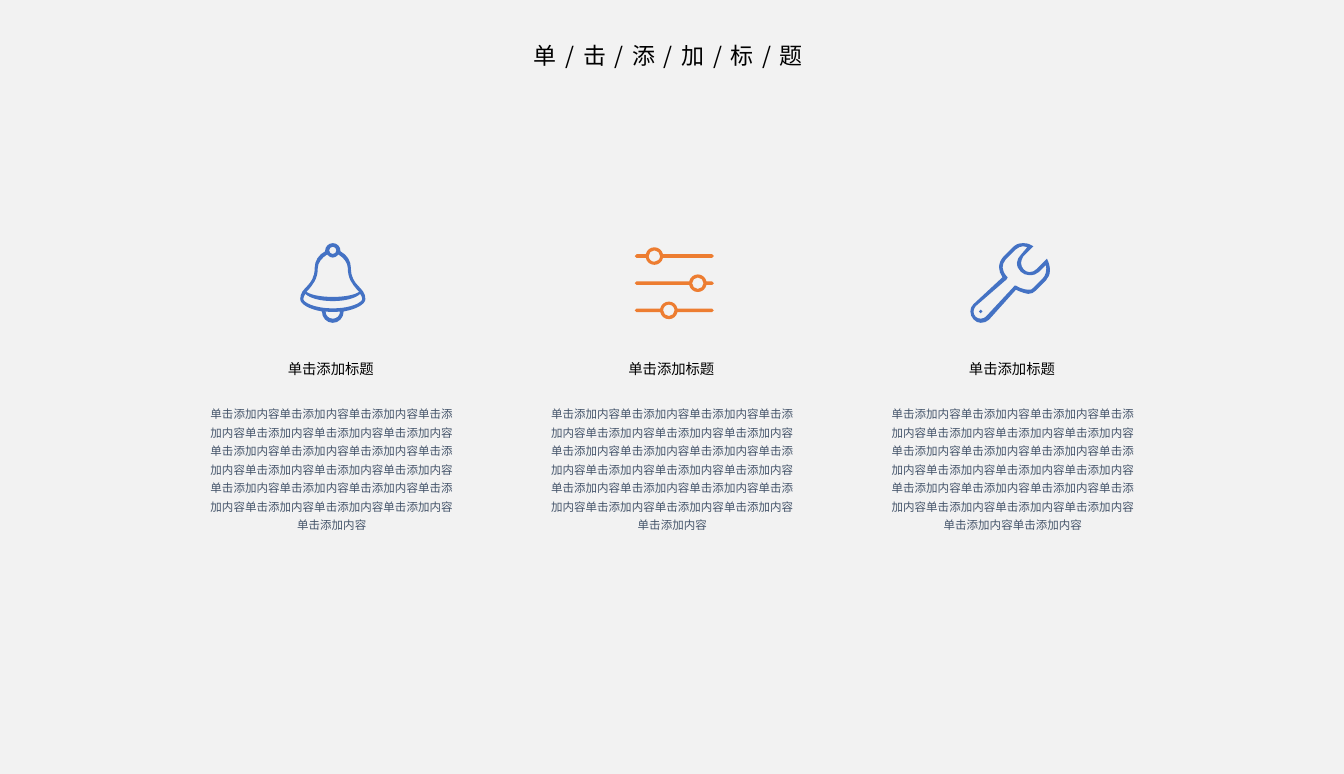
from math import asin, cos, degrees, radians, sin, tan

from lxml.etree import Element, SubElement
from pptx import Presentation
from pptx.dml.color import RGBColor
from pptx.enum.text import MSO_ANCHOR, MSO_AUTO_SIZE, PP_ALIGN
from pptx.oxml.ns import qn
from pptx.util import Cm, Pt

FONT = "Noto Sans CJK SC"
COLORS = {
    "background": "F2F2F2",
    "heading": "000000",
    "body": "44546A",
    "blue": "4472C4",
    "orange": "ED7D31",
}
GRID = Cm(0.0254)  # one unit of the icon drawings
COLUMN_LEFT, COLUMN_STEP, COLUMN_WIDTH = 4.83, 8.36, 6.63
AXIS = 31.5  # the bell is symmetrical about this line

# Contours: a pair is a line to a point, six numbers are a curve.
# The halves of the bell run from the bottom to the top of its axis.
BELL_HALVES = [
    # Outer edge
    [(AXIS, 77), (25.5, 77, 21, 72, 21, 66), (9, 64, 0, 59, 0, 54),
     (0, 42, 14, 42, 14, 24), (14, 17, 18, 11, 24, 8), (24, 3, 27.5, 0, AXIS, 0)],
    # Body
    [(AXIS, 52), (20, 52, 10, 50, 6, 47), (7, 46, 8, 45, 8, 45),
     (12, 40, 17, 35, 17, 24), (17, 19, 21, 14, 26, 11), (28, 13, 29.5, 14, AXIS, 14)],
    # Rim
    [(AXIS, 63), (13, 63, 3, 57, 3, 54), (3, 52, 4, 51, 5, 49), (9, 53, 19, 56, AXIS, 56)],
    # Clapper
    [(AXIS, 73), (27.5, 73, 24.5, 70, 24.5, 66), (27, 66.5, 29, 66.5, AXIS, 66.5)],
]
WRENCH = [
    # Outer edge
    [(74, 15), (64, 25), (62, 27, 60, 28, 57, 28), (53, 28, 49, 24, 49, 19),
     (49, 17, 50, 15, 51, 13), (61, 3), (58, 1, 55, 0, 51, 0), (47, 0, 44, 1, 41, 4),
     (32, 13), (26, 20, 27, 27, 31, 33), (3, 59), (1, 61, 0, 63, 0, 66),
     (0, 72, 5, 77, 10, 77), (13, 77, 16, 76, 18, 74), (44, 45),
     (50, 48, 55, 49, 56, 49), (59, 49, 61, 48, 63, 46), (73, 36),
     (78, 31, 78, 23, 74, 15)],
    # Inner edge
    [(49, 11), (47, 13, 45, 16, 45, 19), (45, 26, 51, 31, 57, 31),
     (61, 31, 64, 30, 66, 28), (73, 21), (74, 26, 73, 31, 70, 34), (61, 43),
     (60, 45, 58, 45, 56, 45), (56, 45, 50, 45, 44, 41), (43, 41, 42, 41, 42, 42),
     (15, 71), (14, 72, 12, 73, 10, 73), (6, 73, 3, 70, 3, 66), (3, 64, 4, 63, 5, 61),
     (35, 35), (35, 34, 36, 34, 36, 33), (36, 33, 35, 32, 35, 32),
     (30, 26, 30, 21, 34, 16), (44, 6), (46, 4, 49, 3, 51, 3), (53, 3, 54, 4, 55, 4)],
]


# Geometry of the icons
def arc(x, y, radius, start=0, end=360, pieces=4):
    turn = radians(end - start) / pieces
    handle = 4 / 3 * tan(turn / 4)
    contour = [(x + radius * cos(radians(start)), y + radius * sin(radians(start)))]
    for piece in range(pieces):
        a = radians(start) + piece * turn
        b = a + turn
        contour.append((x + radius * (cos(a) - handle * sin(a)),
                        y + radius * (sin(a) + handle * cos(a)),
                        x + radius * (cos(b) + handle * sin(b)),
                        y + radius * (sin(b) - handle * cos(b)),
                        x + radius * cos(b), y + radius * sin(b)))
    return contour


def mirror(half):
    numbers = [number for segment in half for number in segment]
    points = list(zip(numbers[::2], numbers[1::2]))
    back = [(2 * AXIS - x, y) for x, y in reversed(points)][1:]
    return half + [sum(back[i:i + 3], ()) for i in range(0, len(back), 3)]


def bell_contours():
    return [mirror(half) for half in BELL_HALVES] + [arc(AXIS, 7, 3.5)]


def slider_contours():
    cap, knob, hole, length = 1.75, 8.5, 5.5, 76.5
    gap = degrees(asin(cap / knob))
    contours = []
    for row, knob_x in enumerate((19, 61, 33)):
        y = 8.5 + 26.25 * row
        contours.append(arc(cap, y, cap, 90, 270, 2)
                        + arc(knob_x, y, knob, 180 + gap, 360 - gap, 2)
                        + arc(length - cap, y, cap, 270, 450, 2)
                        + arc(knob_x, y, knob, gap, 180 - gap, 2))
        contours.append(arc(knob_x, y, hole))
    return contours


def wrench_contours():
    return WRENCH + [arc(10, 66, 1.75)]


# Elements of the page
def bend_lines(icon, segments, origin_x, origin_y):
    """Turn the straight segments that have control points into curves."""
    lines = list(icon._element.iter(qn("a:lnTo")))
    for line, segment in zip(lines, segments):
        if len(segment) == 6:
            line.tag = qn("a:cubicBezTo")
            for index in (0, 1):
                x, y = segment[2 * index:2 * index + 2]
                point = Element(qn("a:pt"), x=str(round(x * GRID - origin_x)),
                                y=str(round(y * GRID - origin_y)))
                line.insert(index, point)


def add_icon(page, contours, left, top, color):
    outlines = [[(segment[-2] * GRID, segment[-1] * GRID) for segment in contour]
                for contour in contours]
    builder = page.shapes.build_freeform(*outlines[0][0])
    builder.add_line_segments(outlines[0][1:])
    for points in outlines[1:]:
        builder.move_to(*points[0])
        builder.add_line_segments(points[1:])
    icon = builder.convert_to_shape(Cm(left), Cm(top))
    segments = [segment for contour in contours for segment in contour[1:]]
    bend_lines(icon, segments, icon.left - Cm(left), icon.top - Cm(top))
    icon.shadow.inherit = False
    icon.fill.solid()
    icon.fill.fore_color.rgb = RGBColor.from_string(COLORS[color])
    icon.line.fill.background()


def write_text(box, text, size, color, wrap=True, anchor=MSO_ANCHOR.TOP):
    frame = box.text_frame
    frame.text = text
    frame.word_wrap = wrap
    frame.auto_size = MSO_AUTO_SIZE.NONE
    frame.vertical_anchor = anchor
    para = frame.paragraphs[0]
    para.alignment = PP_ALIGN.CENTER
    span = para.runs[0]
    span.font.size = Pt(size)
    span.font.name = FONT
    span.font.color.rgb = RGBColor.from_string(COLORS[color])
    SubElement(span.font._element, qn("a:ea"), typeface=FONT)
    return para


def add_title(page, text):
    title = page.shapes.title
    title.left, title.top, title.width, title.height = Cm(4.9), Cm(0.89), Cm(23.01), Cm(1.63)
    para = write_text(title, text, 16, "heading")
    para.runs[0].font._element.set("spc", "600")


def add_heading(page, left, text):
    box = page.shapes.add_textbox(Cm(left), Cm(8.71), Cm(2.64), Cm(0.69))
    write_text(box, text, 10, "heading", wrap=False, anchor=MSO_ANCHOR.MIDDLE)


def add_body(page, left, text):
    box = page.shapes.add_textbox(Cm(left), Cm(9.73), Cm(COLUMN_WIDTH), Cm(3.53))
    para = write_text(box, text, 8, "body")
    para.line_spacing = Pt(12.9)
    para.space_before = Pt(1.6)
    frame = box.text_frame
    frame.margin_left = frame.margin_right = Cm(0.3)
    frame.margin_top = frame.margin_bottom = Cm(0.15)


def main():
    deck = Presentation()
    deck.slide_width, deck.slide_height = Cm(32.99), Cm(19)
    page = deck.slides.add_slide(deck.slide_layouts[5])
    page.background.fill.solid()
    page.background.fill.fore_color.rgb = RGBColor.from_string(COLORS["background"])

    add_title(page, "单/击/添/加/标/题")

    # Columns: icon contours, icon offset, icon top, colour, repeats of the phrase
    columns = [
        (bell_contours(), 2.54, 5.97, "blue", 22),
        (slider_contours(), 2.39, 6.07, "orange", 22),
        (wrench_contours(), 2.27, 5.97, "blue", 23),
    ]
    for index, (contours, offset, top, color, repeats) in enumerate(columns):
        left = COLUMN_LEFT + COLUMN_STEP * index
        add_icon(page, contours, left + offset, top, color)
        add_heading(page, left + 1.97, "单击添加标题")
        add_body(page, left, "单击添加内容" * repeats)

    deck.save("out.pptx")


if __name__ == "__main__":
    main()
